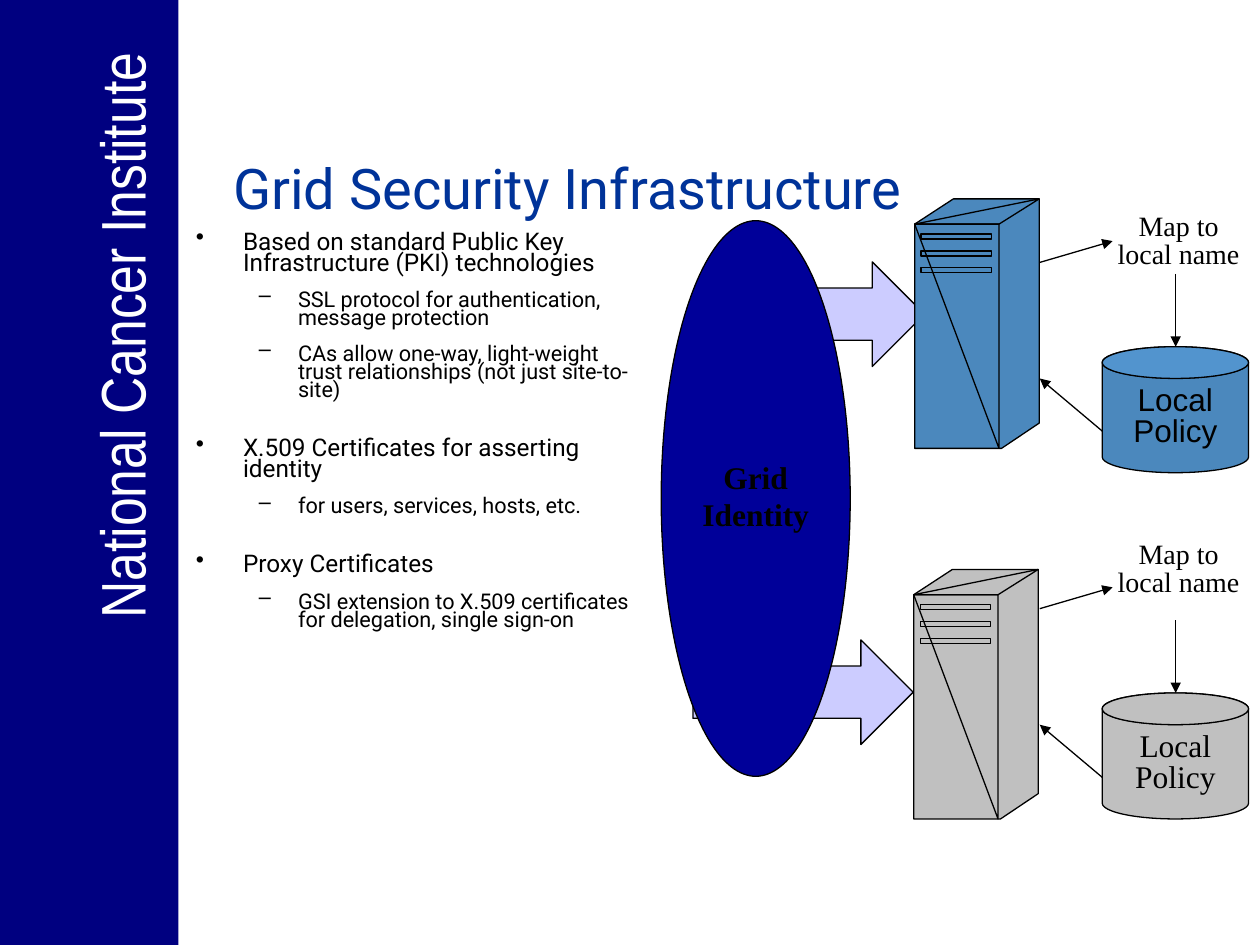
"""Build the Grid Security Infrastructure slide."""
from lxml import etree
from pptx import Presentation
from pptx.dml.color import RGBColor
from pptx.enum.shapes import MSO_CONNECTOR, MSO_SHAPE
from pptx.enum.text import MSO_ANCHOR, PP_ALIGN
from pptx.oxml.ns import qn
from pptx.util import Cm, Pt

RECT, OVAL = MSO_SHAPE.RECTANGLE, MSO_SHAPE.OVAL
CAN, ARROW = MSO_SHAPE.CAN, MSO_SHAPE.RIGHT_ARROW
LINE = MSO_CONNECTOR.STRAIGHT
LEFT, MID, RIGHT = PP_ALIGN.LEFT, PP_ALIGN.CENTER, PP_ALIGN.RIGHT
TOP, CENTER = MSO_ANCHOR.TOP, MSO_ANCHOR.MIDDLE


class Theme:
    black = RGBColor(0, 0, 0)
    navy = RGBColor(0, 0, 0x80)
    deep = RGBColor(0, 0, 0x99)
    lilac = RGBColor(0xCC, 0xCC, 0xFF)
    blue = RGBColor(0x4B, 0x88, 0xBD)
    sky = RGBColor(0x52, 0x94, 0xCE)
    gray = RGBColor(0xC0, 0xC0, 0xC0)
    edge = Pt(0.75)
    side = dict(size=36, face="Arial Narrow", color=RGBColor(255, 255, 255))
    title = dict(size=32, face="Roboto", color=RGBColor(0, 0x33, 0x99))
    point = dict(size=13.9, face="Roboto", space=0.7, mark="•",
                 left=Cm(0.95), hang=Cm(0.95))
    sub = dict(size=12.4, face="Roboto", space=0.7, mark="–",
               left=Cm(2.06), hang=Cm(0.79), level=1)
    label = dict(size=16, face="Times New Roman", space=0.83, align=MID)
    store = dict(size=18, space=0.83, align=MID, anchor=CENTER)
    grid = dict(size=18, face="Times New Roman", bold=True, align=MID,
                anchor=CENTER, inset=0)


def write(shape, text, size, face, color=Theme.black, bold=False, align=LEFT,
          anchor=TOP, inset=None, space=None, before=0, mark=None, left=0,
          hang=0, level=0):
    frame = shape.text_frame
    frame.word_wrap = True
    frame.vertical_anchor = anchor
    if inset is not None:
        frame.margin_left = frame.margin_right = inset
        frame.margin_top = frame.margin_bottom = inset
    para = frame.paragraphs[-1]
    if para.runs:
        para = frame.add_paragraph()
    para.text = text
    if mark:
        props = para._p.get_or_add_pPr()
        props.set("marL", str(left))
        props.set("indent", str(-hang))
        etree.SubElement(props, qn("a:buChar")).set("char", mark)
    para.level = level
    para.alignment = align
    para.space_before = Pt(before)
    if space:
        para.line_spacing = space
    for run in para.runs:
        run.font.size = Pt(size)
        run.font.name = face
        run.font.bold = bold
        run.font.color.rgb = color


def paint(shape, fill=None, edge=True):
    shape.shadow.inherit = False
    if fill is None:
        shape.fill.background()
    else:
        shape.fill.solid()
        shape.fill.fore_color.rgb = fill
    if edge:
        shape.line.color.rgb = Theme.black
        shape.line.width = Theme.edge
    else:
        shape.line.fill.background()


deck = Presentation()
deck.slide_width, deck.slide_height = Cm(25.4), Cm(19.05)
shapes = deck.slides.add_slide(deck.slide_layouts[6]).shapes

band = shapes.add_shape(RECT, 0, 0, Cm(3.6), Cm(19.05))
paint(band, Theme.navy, edge=False)
side = shapes.add_textbox(Cm(-4.45), Cm(6.78), Cm(13.76), Cm(2.33))
side.rotation = 270
write(side, "National Cancer Institute", align=RIGHT, anchor=CENTER, inset=0,
      **Theme.side)

title = shapes.add_textbox(Cm(4.45), Cm(2.97), Cm(19.69), Cm(1.6))
write(title, "Grid Security Infrastructure", **Theme.title)

body = shapes.add_textbox(Cm(3.7), Cm(4.6), Cm(9.42), Cm(8.97))
points = [
    ("Based on standard Public Key Infrastructure (PKI) technologies", [
        "SSL protocol for authentication, message protection",
        "CAs allow one-way, light-weight trust relationships "
        "(not just site-to-site)"]),
    ("X.509 Certificates for asserting identity", [
        "for users, services, hosts, etc."]),
    ("Proxy Certificates", [
        "GSI extension to X.509 certificates for delegation, "
        "single sign-on"]),
]
for rank, (point, subs) in enumerate(points):
    write(body, point, before=22.5 if rank else 0, **Theme.point)
    for sub in subs:
        write(body, sub, before=10, **Theme.sub)

case = [(0, 0.51), (0.78, 0), (2.51, 0), (2.51, 4.52), (1.75, 5.03), (0, 5.03)]
trim = [[(0, 0.51), (1.7, 0.51), (2.51, 0)],
        [(0, 0.51), (1.7, 0.51), (1.7, 5.03)]]
for slot in range(3):
    top = 0.71 + 0.34 * slot
    trim.append([(0.13, top), (1.55, top), (1.55, top + 0.1), (0.13, top + 0.1)])

paths = [((20.96, -1.7), (22.43, -2.13)),
         ((23.7, -1.47), (23.7, 0)),
         ((22.22, 1.7), (20.96, 0.64))]

sites = [
    dict(tone=Theme.blue, lid=Theme.sky, face="Arial", base=6.99, name=4.19,
         arrow=(14.4, 5.28, 4.24), server=(18.44, 4.01)),
    dict(tone=Theme.gray, lid=Theme.gray, face="Times New Roman", base=13.97,
         name=10.8, arrow=(13.97, 12.9, 4.44), server=(18.42, 11.48)),
]
for site in sites:
    tone, base = site["tone"], site["base"]
    store = shapes.add_shape(CAN, Cm(22.22), Cm(base), Cm(2.95), Cm(2.54))
    paint(store, tone)
    write(store, "Local\vPolicy", face=site["face"], **Theme.store)
    lid = shapes.add_shape(OVAL, Cm(22.22), Cm(base), Cm(2.95), Cm(0.64))
    paint(lid, site["lid"])

    label = shapes.add_textbox(Cm(22.12), Cm(site["name"]), Cm(3.28), Cm(1.4))
    write(label, "Map to\vlocal name", **Theme.label)

    for (x1, y1), (x2, y2) in paths:
        link = shapes.add_connector(LINE, Cm(x1), Cm(base + y1),
                                    Cm(x2), Cm(base + y2))
        link.line.color.rgb = Theme.black
        link.line.width = Theme.edge
        stroke = link.line._get_or_add_ln()
        etree.SubElement(stroke, qn("a:tailEnd")).set("type", "triangle")
        etree.SubElement(link._element.spPr, qn("a:effectLst"))

    x, y, width = site["arrow"]
    arrow = shapes.add_shape(ARROW, Cm(x), Cm(y), Cm(width), Cm(2.11))
    paint(arrow, Theme.lilac)

    x, y = site["server"]
    for loops, fill in (([case], tone), (trim, None)):
        pen = None
        for loop in loops:
            first, *rest = [(Cm(x + dx), Cm(y + dy)) for dx, dy in loop]
            if pen is None:
                pen = shapes.build_freeform(*first)
            else:
                pen.move_to(*first)
            pen.add_line_segments(rest, close=True)
        paint(pen.convert_to_shape(), fill)

grid = shapes.add_shape(OVAL, Cm(13.33), Cm(4.45), Cm(3.81), Cm(11.2))
paint(grid, Theme.deep)
write(grid, "Grid", space=0.83, **Theme.grid)
write(grid, "Identity", **Theme.grid)

deck.save("out.pptx")
